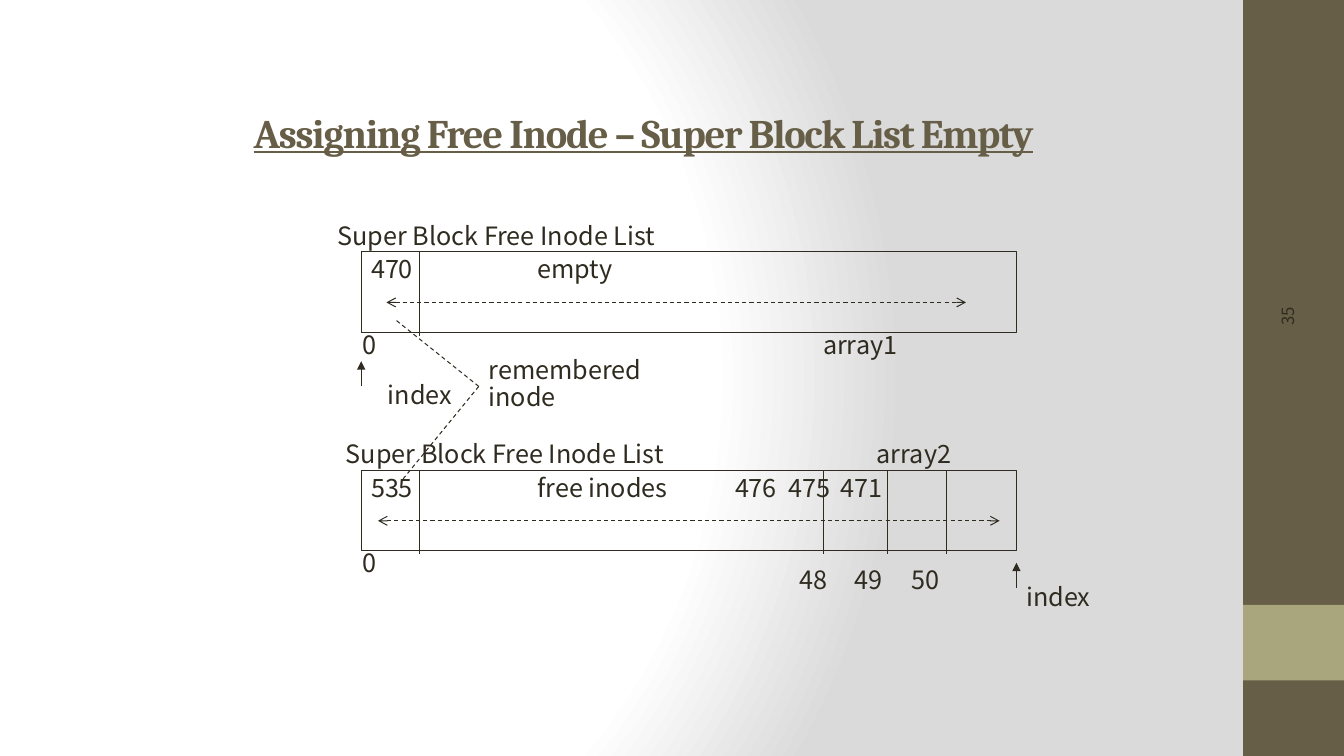
from lxml import etree
from pptx import Presentation
from pptx.dml.color import RGBColor
from pptx.enum.dml import MSO_LINE
from pptx.enum.shapes import MSO_CONNECTOR, MSO_SHAPE
from pptx.enum.text import MSO_ANCHOR, MSO_AUTO_SIZE, PP_ALIGN
from pptx.oxml import parse_xml
from pptx.oxml.ns import nsdecls, qn
from pptx.util import Emu, Inches, Pt

RECT, STRAIGHT, DASH = MSO_SHAPE.RECTANGLE, MSO_CONNECTOR.STRAIGHT, MSO_LINE.DASH
TOP, MIDDLE = MSO_ANCHOR.TOP, MSO_ANCHOR.MIDDLE
LEFT, NO_FIT = PP_ALIGN.LEFT, MSO_AUTO_SIZE.NONE
COLS, ROWS = 160, 90  # one grid cell is a twelfth of an inch
COLORS = {"ink": "2F2B20", "brown": "675E47", "olive": "A9A57C",
          "white": "FFFFFF", "gray": "DADADA"}


class Deck:
    heading, body = "Cambria", "Noto Sans CJK KR"

    def __init__(self):
        self.prs = Presentation()
        self.prs.slide_width, self.prs.slide_height = Inches(13.33), Inches(7.5)
        self.s = self.prs.slides.add_slide(self.prs.slide_layouts[5])

    def grid(self, x, y):
        return (Emu(round(x * self.prs.slide_width / COLS)),
                Emu(round(y * self.prs.slide_height / ROWS)))

    def box(self, x, y, w, h):
        return *self.grid(x, y), *self.grid(w, h)

    def color(self, name):
        return RGBColor.from_string(COLORS[name])

    def background(self):
        stops = ((0, "white"), (75, "white"), (100, "gray"))
        gs = "".join(f'<a:gs pos="{pos * 1000}"><a:srgbClr val="{COLORS[c]}"/></a:gs>'
                     for pos, c in stops)
        self.s.element.cSld.insert(0, parse_xml(
            f'<p:bg {nsdecls("p", "a")}><p:bgPr><a:gradFill rotWithShape="1">'
            f'<a:gsLst>{gs}</a:gsLst><a:path path="circle">'
            '<a:fillToRect l="20000" t="50000" r="100000" b="50000"/></a:path>'
            '</a:gradFill><a:effectLst/></p:bgPr></p:bg>'))

    def title(self, text, *at):
        sp = self.s.shapes.title
        sp.left, sp.top, sp.width, sp.height = self.box(*at)
        tf = sp.text_frame
        tf.text, tf.vertical_anchor, tf.auto_size = text, MIDDLE, NO_FIT
        p = tf.paragraphs[0]
        p.alignment, f = LEFT, p.font
        f.name, f.size, f.bold, f.underline = self.heading, Pt(29), True, True
        f.color.rgb = self.color("brown")
        p.runs[0].font._element.set("spc", "-100")

    def set_text(self, sp, text, size=18, anchor=TOP, tabs=()):
        tf = sp.text_frame
        tf.word_wrap, tf.vertical_anchor, tf.text = True, anchor, text
        p = tf.paragraphs[0]
        p.alignment, p.line_spacing = LEFT, 0.9
        p.font.name, p.font.size = self.body, Pt(size)
        p.font.color.rgb = self.color("ink")
        if tabs:
            tab_list = etree.Element(qn("a:tabLst"))
            for tab in tabs:
                etree.SubElement(tab_list, qn("a:tab"), pos=str(Inches(tab)), algn="l")
            p.font._element.addprevious(tab_list)

    def label(self, text, *at, rotation=0, **style):
        sp = self.s.shapes.add_textbox(*self.box(*at))
        sp.rotation = rotation
        self.set_text(sp, text, **style)
        return sp

    def rect(self, *at, fill=None, text="", tabs=()):
        sp = self.s.shapes.add_shape(RECT, *self.box(*at))
        sp.shadow.inherit = False
        if fill:
            sp.fill.solid()
            sp.fill.fore_color.rgb = self.color(fill)
            sp.line.fill.background()
        else:
            sp.fill.background()
            sp.line.color.rgb, sp.line.width = self.color("ink"), Pt(0.75)
        if text:
            self.set_text(sp, text, tabs=tabs)

    def line(self, x1, y1, x2, y2, dash=False, head=None, tail=None):
        c = self.s.shapes.add_connector(STRAIGHT, *self.grid(x1, y1), *self.grid(x2, y2))
        c.line.color.rgb, c.line.width = self.color("ink"), Pt(0.75)
        if dash:
            c.line.dash_style = DASH
        ln = c.line._get_or_add_ln()
        for end, kind in (("a:headEnd", head), ("a:tailEnd", tail)):
            if kind:
                etree.SubElement(ln, qn(end), type=kind)
        etree.SubElement(c._element.spPr, qn("a:effectLst"))
        return c

    def inode_list(self, top, text, tabs, arrow, dividers, caption_x):
        """One super block list: caption, array, span arrow, dividers and index 0."""
        self.label("Super Block Free Inode List", caption_x, top - 4, 46, 4.4)
        self.rect(43, top, 78, 9.6, text=text, tabs=tabs)
        self.line(arrow[0], top + 6, arrow[1], top + 6, dash=True, head="arrow", tail="arrow")
        for x in dividers:
            self.line(x, top, x, top + 10)
        self.label("0", 42, top + 9, 5, 4.4)

    def index(self, x, y, text_x, text_y):
        self.line(x, y + 3, x, y, tail="triangle")
        self.label("index", text_x, text_y, 13, 4.4)


def main():
    d = Deck()

    # Background, side band, page number and title
    d.background()
    d.rect(148, 0, 12, 90, fill="brown")
    d.rect(148, 72, 12, 9, fill="olive")
    d.label("35", 137.5, 20.8, 32, 6.3, rotation=270, size=12, anchor=MIDDLE)
    d.title("Assigning Free Inode – Super Block List Empty", 29, 8.2, 104, 15)

    # Empty list
    d.inode_list(30, "470\tempty", (1.65,), (46, 115), (50,), 39)
    d.label("array1", 96.8, 39, 13, 4.4)
    d.index(43, 43, 45, 45)

    # Refilled list
    d.inode_list(56, "535\tfree inodes\t476\t475\t471", (1.65, 3.61, 4.14, 4.66),
                 (45, 119), (50, 98, 105.6, 112.7), 40)
    d.label("array2", 103.2, 52, 13, 4.4)
    d.label("48\t49\t50", 94, 67, 27, 4.4, tabs=(0.55, 1.11))
    d.index(121, 67, 121, 69)

    # Remembered inode, tied to the first slot of each list
    remembered = d.label("remembered inode", 57, 42, 21, 8)
    for x, y in ((47, 38), (48, 57)):
        d.line(57, 46, x, y, dash=True).begin_connect(remembered, 1)

    d.prs.save("out.pptx")


if __name__ == "__main__":
    main()
